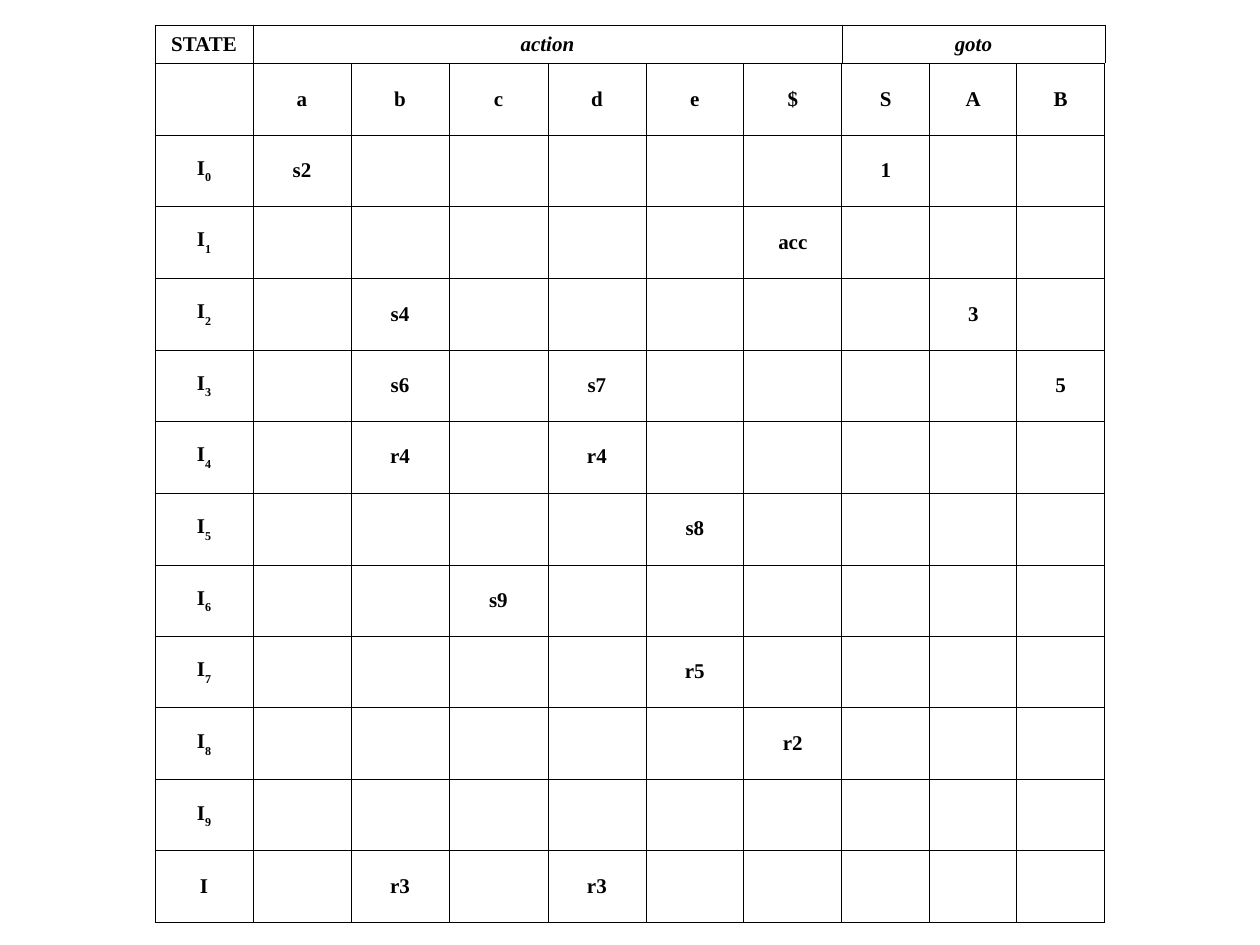
import pptx
import pptx.dml.color
import pptx.enum.text
import pptx.oxml
import pptx.oxml.ns
import pptx.util

PX = 914400 / 126
BLACK = pptx.dml.color.RGBColor(0, 0, 0)
FONT_FORMAT = {
    "name": "Times New Roman",
    "size": pptx.util.Pt(12),
    "bold": True,
}
BORDER_WIDTH = pptx.util.Pt(0.45)
BLANK_LAYOUT = 6

TABLE_LEFT, TABLE_WIDTH = 155, 950
HEADER_TOP, HEADER_HEIGHT = 25, 38
BODY_TOP, BODY_HEIGHT = 63, 860
STATE_AND_ACTION_WIDTH, GOTO_WIDTH = 687, 263

SYMBOLS = ["a", "b", "c", "d", "e", "$", "S", "A", "B"]
STATES = [(f"I{number}", 1) for number in range(10)] + [("I", 0)]
ENTRIES = [
    {"a": "s2", "S": "1"},
    {"$": "acc"},
    {"b": "s4", "A": "3"},
    {"b": "s6", "d": "s7", "B": "5"},
    {"b": "r4", "d": "r4"},
    {"e": "s8"},
    {"c": "s9"},
    {"e": "r5"},
    {"$": "r2"},
    {},
    {"b": "r3", "d": "r3"},
]


def px(length):
    return pptx.util.Emu(round(length * PX))


def split(total, count):
    """Divide a length into whole-pixel parts that add up to it."""
    edges = [round(total * index / count) for index in range(count + 1)]
    return [end - start for start, end in zip(edges, edges[1:])]


def add_borders(cell):
    properties = cell._tc.get_or_add_tcPr()
    for index, side in enumerate(("lnL", "lnR", "lnT", "lnB")):
        border = pptx.oxml.parse_xml(
            f'<a:{side} {pptx.oxml.ns.nsdecls("a")} w="{BORDER_WIDTH}">'
            f'<a:solidFill><a:srgbClr val="{BLACK}"/></a:solidFill></a:{side}>'
        )
        properties.insert(index, border)


def add_run(paragraph, text, italic=False, subscript=False):
    run = paragraph.add_run()
    run.text = text
    for name, value in FONT_FORMAT.items():
        setattr(run.font, name, value)
    run.font.italic = italic
    run.font.color.rgb = BLACK
    if subscript:
        run._r.get_or_add_rPr().set("baseline", "-30000")


def add_grid(slide, box, column_widths, row_heights):
    """Add a plain ruled table with centred, empty cells."""
    shape = slide.shapes.add_table(
        len(row_heights), len(column_widths), *map(px, box)
    )
    table = shape.table
    table.first_row = table.horz_banding = False
    for column, width in zip(table.columns, column_widths):
        column.width = px(width)
    for row, height in zip(table.rows, row_heights):
        row.height = px(height)
    for cell in table.iter_cells():
        cell.fill.background()
        cell.vertical_anchor = pptx.enum.text.MSO_ANCHOR.MIDDLE
        cell.text_frame.paragraphs[0].alignment = pptx.enum.text.PP_ALIGN.CENTER
        add_borders(cell)
    return table


def add_header(slide, box, column_widths):
    state_width = column_widths[0]
    widths = [state_width, STATE_AND_ACTION_WIDTH - state_width, GOTO_WIDTH]
    table = add_grid(slide, box, widths, [box[3]])
    for column, text in enumerate(["STATE", "action", "goto"]):
        paragraph = table.cell(0, column).text_frame.paragraphs[0]
        add_run(paragraph, text, italic=column > 0)


def add_parsing_table(slide, box, column_widths):
    row_heights = split(box[3], len(STATES) + 1)
    table = add_grid(slide, box, column_widths, row_heights)
    for column, symbol in enumerate(SYMBOLS, start=1):
        add_run(table.cell(0, column).text_frame.paragraphs[0], symbol)
    for row, ((state, digits), entries) in enumerate(zip(STATES, ENTRIES), start=1):
        paragraph = table.cell(row, 0).text_frame.paragraphs[0]
        add_run(paragraph, state[0])
        if digits:
            add_run(paragraph, state[1:], subscript=True)
        for symbol, entry in entries.items():
            cell = table.cell(row, SYMBOLS.index(symbol) + 1)
            add_run(cell.text_frame.paragraphs[0], entry)


def main():
    presentation = pptx.Presentation()
    presentation.slide_width = px(1260)
    presentation.slide_height = px(945)
    slide = presentation.slides.add_slide(presentation.slide_layouts[BLANK_LAYOUT])
    column_widths = split(STATE_AND_ACTION_WIDTH, 7) + split(GOTO_WIDTH, 3)
    add_header(
        slide, (TABLE_LEFT, HEADER_TOP, TABLE_WIDTH, HEADER_HEIGHT), column_widths
    )
    add_parsing_table(
        slide, (TABLE_LEFT, BODY_TOP, TABLE_WIDTH, BODY_HEIGHT), column_widths
    )
    presentation.save("out.pptx")


if __name__ == "__main__":
    main()
